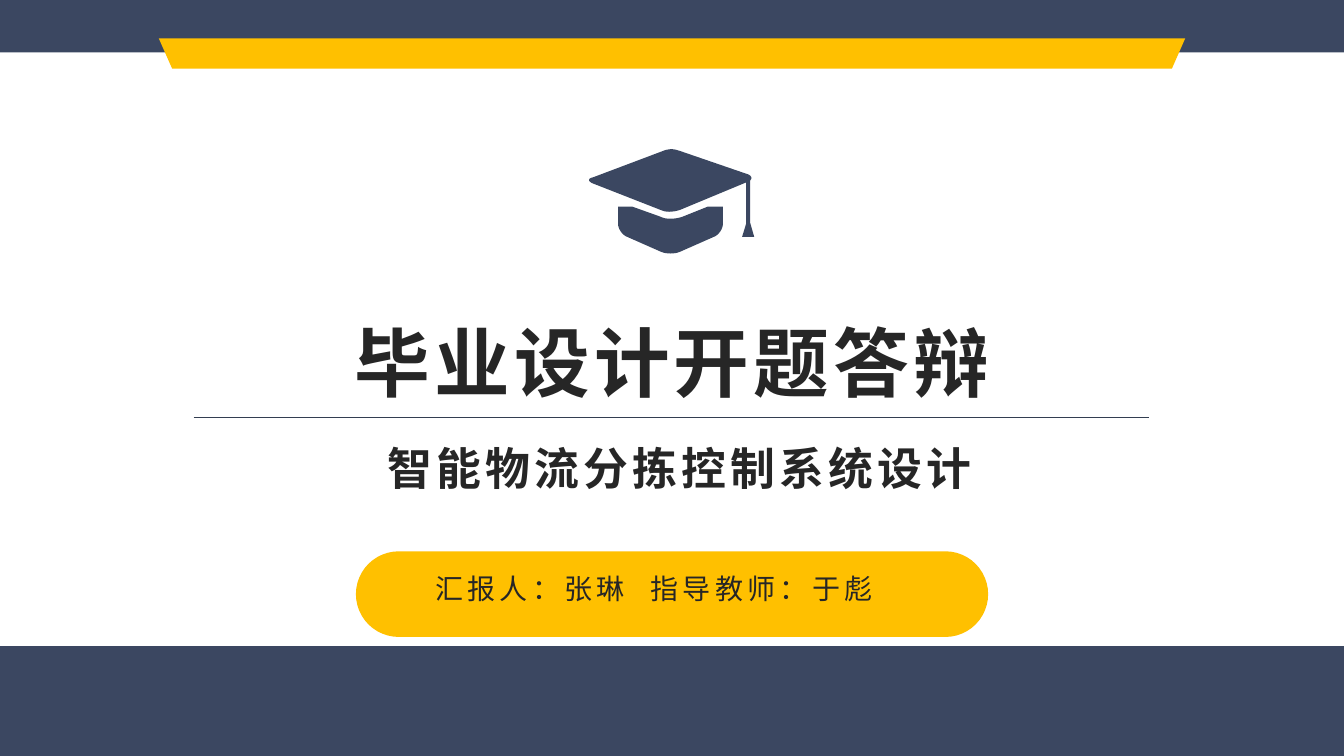
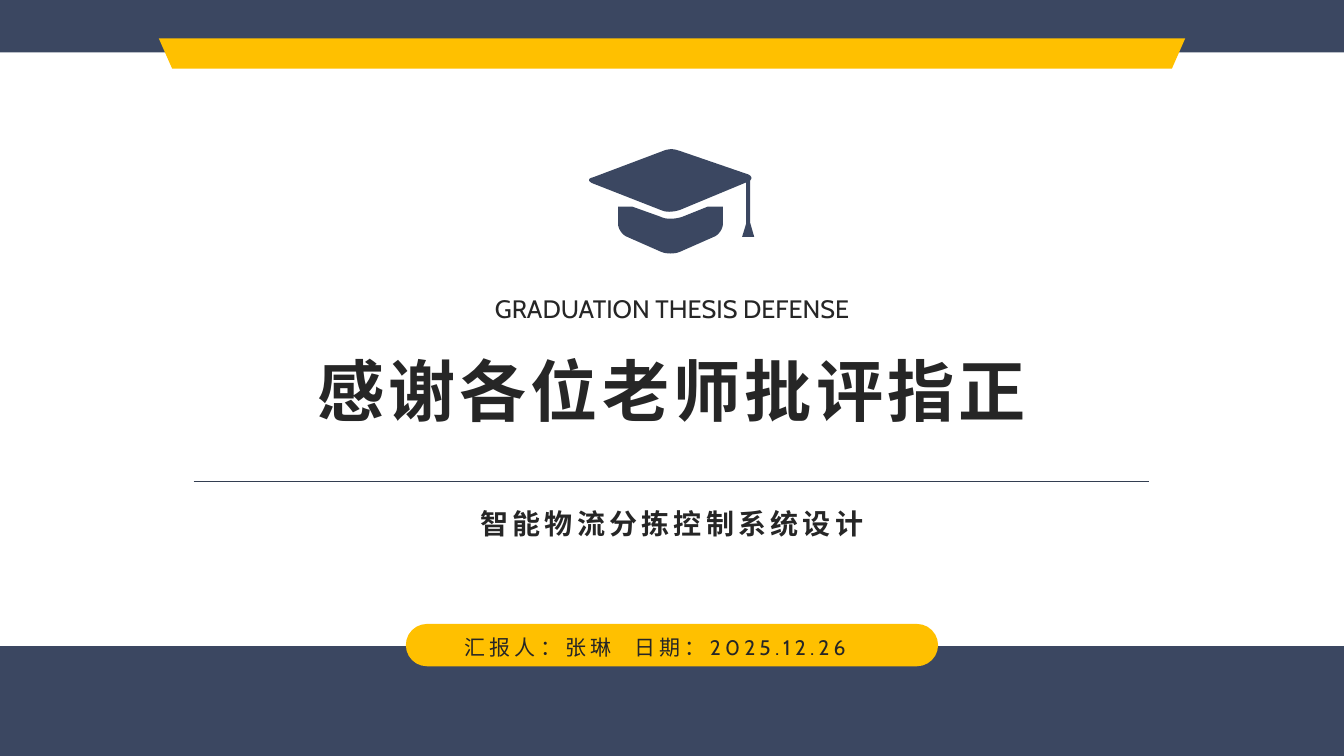
"""Build the opening and closing slides of a graduation thesis defense."""
from pptx import Presentation
from pptx.dml.color import RGBColor
from pptx.enum.shapes import MSO_CONNECTOR as Connector, MSO_SHAPE as Shape
from pptx.enum.text import MSO_ANCHOR as Anchor, PP_ALIGN as Align
from pptx.oxml.xmlchemy import OxmlElement
from pptx.util import Inches, Pt

COLORS = {"navy": "3B4761", "gold": "FFC000", "rule": "333E51", "ink": "262626"}
LATIN, CHINESE = "Cabin", "Noto Sans CJK SC"
WIDTH, HEIGHT = Inches(13.33), Inches(7.5)
TRACKING = 3
CURVE_STEPS = 8
CAP_LEFT, CAP_TOP, CAP_WIDTH, CAP_UNITS = 43.89, 19.73, 12.23, 163
CAP_BASE = [
    (28, 57), (42, 57), (70, 67), (74, 69, 78, 69, 80, 69),
    (85, 69, 89, 68, 92, 67), (117, 57), (132, 57), (132, 74),
    (132, 79, 128, 85, 123, 87), (89, 102), (84, 104, 76, 104, 71, 102),
    (37, 87), (32, 85, 28, 79, 28, 74),
]
CAP_BOARD = [
    (81, 0), (84, 0, 87, 1, 90, 2), (157, 25), (161, 27, 161, 29, 159, 31),
    (159, 73), (163, 87), (151, 87), (155, 74), (155, 33), (90, 60),
    (85, 62, 77, 63, 72, 61), (3, 34), (-2, 32, -2, 29, 3, 28), (72, 2),
    (74, 1, 78, 0, 81, 0),
]


def color(name):
    return RGBColor.from_string(COLORS[name])


def across(percent):
    return round(WIDTH * percent / 100)


def down(percent):
    return round(HEIGHT * percent / 100)


def frame(top, width, height, center=50):
    """Turn percentages of the slide into left, top, width and height."""
    return across(center - width / 2), down(top), across(width), down(height)


def paint(shape, fill):
    shape.shadow.inherit = False
    shape.fill.solid()
    shape.fill.fore_color.rgb = color(fill)
    shape.line.fill.background()


def add_block(page, kind, place, fill, adjustment=None):
    block = page.shapes.add_shape(kind, *frame(*place))
    paint(block, fill)
    if adjustment is not None:
        block.adjustments[0] = adjustment
    return block


def add_span(para, text, size, font, bold, tracking):
    span = para.add_run()
    span.text = text
    span.font.name, span.font.size, span.font.bold = font, Pt(size), bold
    span.font.color.rgb = color("ink")
    properties = span.font._element
    properties.set("spc", str(round(tracking * 100)))
    east_asian = OxmlElement("a:ea")
    east_asian.set("typeface", CHINESE)
    properties.find(OxmlElement("a:latin").tag).addnext(east_asian)


def add_text(page, place, parts, size, font=LATIN, bold=False,
             align=Align.CENTER, tracking=TRACKING):
    """Write the parts on one line, with a widened space between them."""
    box = page.shapes.add_textbox(*frame(*place))
    box.text_frame.word_wrap = True
    box.text_frame.vertical_anchor = Anchor.MIDDLE
    para = box.text_frame.paragraphs[0]
    para.alignment = align
    for index, part in enumerate(parts):
        if index:
            add_span(para, " ", size, font, bold, 2 * tracking + size / 4)
        add_span(para, part, size, font, bold, tracking)


def add_rule(page, top):
    rule = page.shapes.add_connector(
        Connector.STRAIGHT, across(14.4), down(top), across(85.52), down(top))
    rule.line.color.rgb = color("rule")
    rule.line.width = Pt(1)
    rule._element.spPr.append(OxmlElement("a:effectLst"))


def curve_points(start, first, second, end):
    """Sample a cubic curve, leaving out its start."""
    for step in range(1, CURVE_STEPS + 1):
        t = step / CURVE_STEPS
        weights = ((1 - t) ** 3, 3 * t * (1 - t) ** 2, 3 * t * t * (1 - t), t ** 3)
        yield tuple(sum(weight * point[axis] for weight, point
                        in zip(weights, (start, first, second, end)))
                    for axis in (0, 1))


def outline(segments):
    """Flatten lines and curves into points measured in slide units."""
    points = []
    for segment in segments:
        if len(segment) == 2:
            points.append(segment)
        else:
            controls = segment[:2], segment[2:4], segment[4:]
            points.extend(curve_points(points[-1], *controls))
    unit = across(CAP_WIDTH) / CAP_UNITS
    return [(round(x * unit), round(y * unit)) for x, y in points]


def add_cap(page):
    base, board = outline(CAP_BASE), outline(CAP_BOARD)
    builder = page.shapes.build_freeform(*base[0])
    builder.add_line_segments(base[1:], close=True)
    builder.move_to(*board[0])
    builder.add_line_segments(board[1:], close=True)
    paint(builder.convert_to_shape(across(CAP_LEFT), down(CAP_TOP)), "navy")


def add_page(deck, pill):
    """Add a blank page with the shared bands, pill, banner and cap."""
    page = deck.slides.add_slide(deck.slide_layouts[6])
    add_block(page, Shape.RECTANGLE, (0, 100, 6.93), "navy")
    add_block(page, Shape.RECTANGLE, (85.47, 100, 14.53), "navy")
    add_block(page, Shape.ROUNDED_RECTANGLE, pill, "gold", 0.5)
    banner = add_block(page, Shape.TRAPEZOID, (5.07, 76.37, 4), "gold", 0.44)
    banner.rotation = 180
    add_cap(page)
    return page


def add_opening(deck):
    page = add_page(deck, (72.93, 47.04, 11.33))
    add_text(page, (41.07, 80.87, 13.47), ["毕业设计开题答辩"], 54, CHINESE, True)
    add_rule(page, 55.2)
    add_text(page, (57.6, 46.21, 8.53, 50.56), ["智能物流分拣控制系统设计"], 32, bold=True)
    add_text(page, (74.93, 36.68, 5.87), ["汇报人：张琳", "指导教师：于彪"], 20,
             align=Align.LEFT)


def add_closing(deck):
    page = add_page(deck, (82.53, 39.6, 5.6))
    add_text(page, (38.13, 43.81, 5.33), ["GRADUATION THESIS DEFENSE"], 18, tracking=0)
    add_text(page, (45.47, 80.87, 12.13), ["感谢各位老师批评指正"], 48, CHINESE, True)
    add_rule(page, 63.73)
    add_text(page, (66.27, 33.08, 5.87), ["智能物流分拣控制系统设计"], 20, bold=True)
    add_text(page, (83.2, 33.46, 4.67, 50.56), ["汇报人：张琳", "日期：2025.12.26"], 15,
             align=Align.LEFT)


def main():
    deck = Presentation()
    deck.slide_width, deck.slide_height = WIDTH, HEIGHT
    add_opening(deck)
    add_closing(deck)
    deck.save("out.pptx")


if __name__ == "__main__":
    main()
